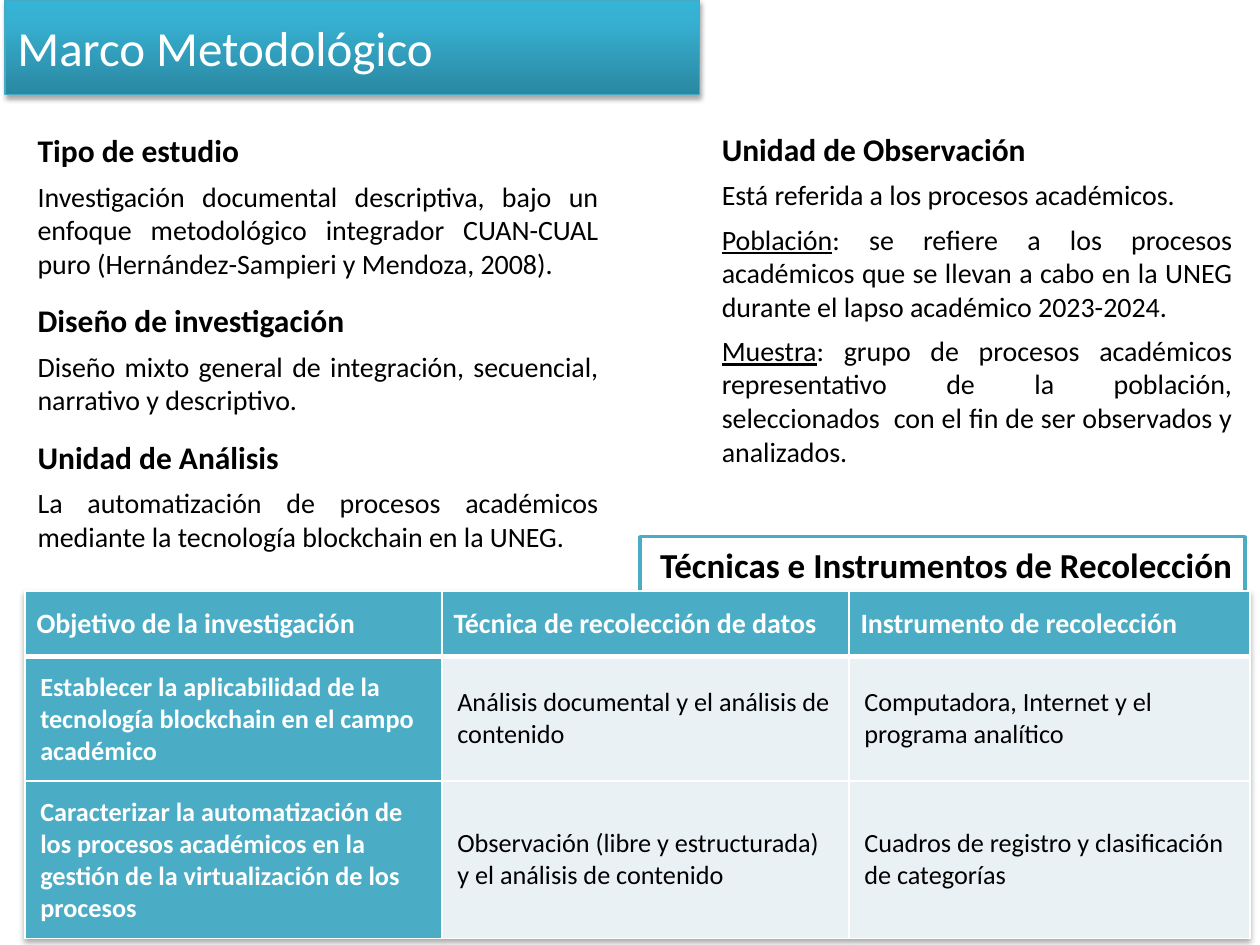
from dataclasses import dataclass

from pptx import Presentation
from pptx.dml.color import RGBColor as RGB
from pptx.enum.shapes import MSO_SHAPE as SHAPE
from pptx.enum.text import MSO_ANCHOR as ANCHOR, PP_ALIGN as ALIGN
from pptx.oxml import parse_xml
from pptx.oxml.ns import nsdecls
from pptx.util import Inches, Pt


@dataclass(frozen=True)
class Theme:
    font: str = "Calibri"
    ink: str = "000000"
    paper: str = "FFFFFF"
    accent: str = "4BACC6"
    pale: str = "E9F1F5"
    banner_line: str = "46AAC5"
    banner_stops: tuple = ((0, "2A88A2"), (80, "37B1D2"), (100, "34B4D6"))
    title: int = 28
    label: int = 20
    heading: int = 18
    body: int = 16
    cell: int = 15


class SlideBuilder:
    def __init__(self, slide, theme):
        self.slide = slide
        self.theme = theme

    def run(self, paragraph, text, size, color, bold=False, underline=False):
        run = paragraph.add_run()
        run.text = text
        font = run.font
        font.name, font.size = self.theme.font, Pt(size)
        font.bold, font.underline = bold, underline
        font.color.rgb = RGB.from_string(color)

    def shadow(self):
        return parse_xml(
            f'<a:effectLst {nsdecls("a")}><a:outerShdw blurRad="{Pt(3.1)}" dist="{Pt(1.8)}" '
            'dir="5400000" rotWithShape="0"><a:srgbClr val="000000">'
            '<a:alpha val="35000"/></a:srgbClr></a:outerShdw></a:effectLst>')

    def box(self, place, text, size, color, line, width, align, bold=False):
        box = self.slide.shapes.add_shape(SHAPE.RECTANGLE, *map(Inches, place))
        box.shadow.inherit = False
        box.fill.background()
        box.line.color.rgb = RGB.from_string(line)
        box.line.width = Pt(width)
        frame = box.text_frame
        frame.word_wrap = True
        frame.vertical_anchor = ANCHOR.MIDDLE
        paragraph = frame.paragraphs[0]
        paragraph.alignment = align
        self.run(paragraph, text, size, color, bold)
        return box

    def banner(self, place, text):
        theme = self.theme
        banner = self.box(place, text, theme.title, theme.paper,
                          theme.banner_line, 0.75, ALIGN.LEFT)
        stops = "".join(
            f'<a:gs pos="{position * 1000}"><a:srgbClr val="{color}"/></a:gs>'
            for position, color in theme.banner_stops)
        gradient = parse_xml(
            f'<a:gradFill {nsdecls("a")} rotWithShape="1"><a:gsLst>{stops}</a:gsLst>'
            '<a:lin ang="16200000" scaled="0"/></a:gradFill>')
        properties = banner.fill._xPr
        properties.replace(properties.noFill, gradient)
        properties.replace(properties.effectLst, self.shadow())

    def column(self, place, sections):
        theme = self.theme
        frame = self.slide.shapes.add_textbox(*map(Inches, place)).text_frame
        frame.word_wrap = True
        paragraphs = []

        def paragraph(before):
            item = frame.add_paragraph() if paragraphs else frame.paragraphs[0]
            item.alignment = ALIGN.JUSTIFY
            item.space_before, item.space_after = Pt(before), Pt(6)
            paragraphs.append(item)
            return item

        for heading, entries in sections:
            self.run(paragraph(6), heading, theme.heading, theme.ink, bold=True)
            for term, text in entries:
                entry = paragraph(0)
                if term:
                    self.run(entry, term, theme.body, theme.ink, underline=True)
                self.run(entry, text, theme.body, theme.ink)

    def border(self, cell, side, width):
        cell._tc.get_or_add_tcPr().append(parse_xml(
            f'<a:{side} {nsdecls("a")} w="{Pt(width)}"><a:solidFill>'
            f'<a:srgbClr val="{self.theme.paper}"/></a:solidFill></a:{side}>'))

    def table(self, place, widths, heights, rows):
        theme = self.theme
        table = self.slide.shapes.add_table(
            len(heights), len(widths), *map(Inches, place)).table
        table.horz_banding = False
        table._tbl.tblPr.insert(0, self.shadow())
        for column, width in zip(table.columns, widths):
            column.width = Inches(width)
        for r, (height, texts) in enumerate(zip(heights, rows)):
            table.rows[r].height = Inches(height)
            for c, text in enumerate(texts):
                cell = table.cell(r, c)
                header = r == 0
                strong = header or c == 0
                for side in ("lnL", "lnR", "lnT", "lnB"):
                    heavy = (r, side) in ((0, "lnB"), (1, "lnT"))
                    self.border(cell, side, 3 if heavy else 1)
                cell.fill.solid()
                cell.fill.fore_color.rgb = RGB.from_string(
                    theme.accent if strong else theme.pale)
                cell.vertical_anchor = ANCHOR.MIDDLE
                cell.margin_left = cell.margin_right = Inches(0.09 if header else 0.12)
                cell.margin_top = cell.margin_bottom = Inches(0.05 if header else 0.12)
                self.run(cell.text_frame.paragraphs[0], text,
                         theme.body if header else theme.cell,
                         theme.paper if strong else theme.ink, strong)


STUDY = [
    ("Tipo de estudio", [
        ("", "Investigación documental descriptiva, bajo un enfoque metodológico "
             "integrador CUAN-CUAL puro (Hernández-Sampieri y Mendoza, 2008).")]),
    ("Diseño de investigación", [
        ("", "Diseño mixto general de integración, secuencial, narrativo y descriptivo.")]),
    ("Unidad de Análisis", [
        ("", "La automatización de procesos académicos mediante la tecnología "
             "blockchain en la UNEG.")]),
]
OBSERVATION = [
    ("Unidad de Observación", [
        ("", "Está referida a los procesos académicos."),
        ("Población", ": se refiere a los procesos académicos que se llevan a cabo "
                      "en la UNEG durante el lapso académico 2023-2024."),
        ("Muestra", ": grupo de procesos académicos representativo de la población, "
                    "seleccionados  con el fin de ser observados y analizados.")]),
]
TECHNIQUES = [
    ("Objetivo de la investigación", "Técnica de recolección de datos",
     "Instrumento de recolección"),
    ("Establecer la aplicabilidad de la tecnología blockchain en el campo académico",
     "Análisis documental y el análisis de contenido",
     "Computadora, Internet y el programa analítico"),
    ("Caracterizar la automatización de los procesos académicos en la gestión de la "
     "virtualización de los procesos",
     "Observación (libre y estructurada) y el análisis de contenido",
     "Cuadros de registro y clasificación de categorías"),
]


def main():
    deck = Presentation()
    deck.slide_width, deck.slide_height = Inches(10), Inches(7.5)
    theme = Theme()
    page = SlideBuilder(deck.slides.add_slide(deck.slide_layouts[6]), theme)
    page.column((0.2, 0.99, 4.65, 3.52), STUDY)
    page.banner((0.04, 0, 5.51, 0.75), "Marco Metodológico")
    page.box((5.08, 4.26, 4.8, 0.44), "Técnicas e Instrumentos de Recolección",
             theme.label, theme.ink, theme.accent, 2, ALIGN.RIGHT, bold=True)
    page.column((5.63, 0.98, 4.25, 2.81), OBSERVATION)
    page.table((0.2, 4.69, 9.72, 2.76), (3.31, 3.23, 3.18), (0.52, 0.99, 1.25), TECHNIQUES)
    deck.save("out.pptx")


if __name__ == "__main__":
    main()
